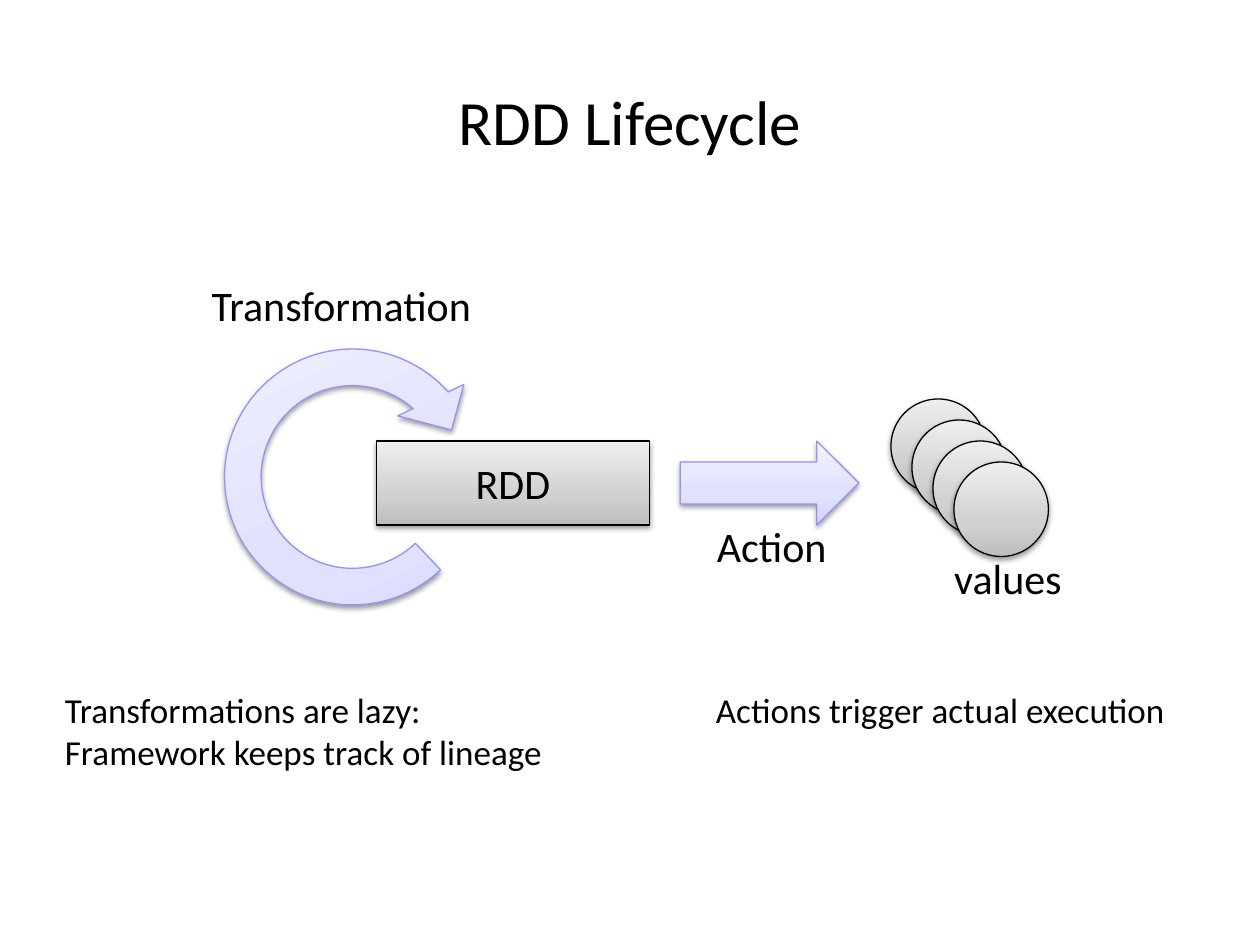
from copy import deepcopy
from dataclasses import dataclass

from lxml import etree
from pptx import Presentation
from pptx.dml.color import RGBColor
from pptx.enum.shapes import MSO_SHAPE
from pptx.enum.text import MSO_ANCHOR, PP_ALIGN
from pptx.oxml.ns import qn
from pptx.util import Inches, Pt

RECTANGLE = MSO_SHAPE.RECTANGLE
LOOP_ARROW = MSO_SHAPE.CIRCULAR_ARROW
RIGHT_ARROW = MSO_SHAPE.RIGHT_ARROW
CIRCLE = MSO_SHAPE.OVAL
LEFT, CENTER = PP_ALIGN.LEFT, PP_ALIGN.CENTER
TOP, MIDDLE = MSO_ANCHOR.TOP, MSO_ANCHOR.MIDDLE

COLUMNS, ROWS = 120, 90


@dataclass(frozen=True)
class Theme:
    font: str = "Calibri"
    ink: str = "000000"
    title: int = 36
    label: int = 24
    note: int = 20
    outline: float = 0.75
    stops: tuple = (0, 0.35, 1)
    data: tuple = ("000000", "BDBDBD", "D1D1D1", "EEEEEE")
    operation: tuple = ("9393FC", "D4D4FF", "E0E0FF", "F3F3FF")


class Diagram:
    def __init__(self, deck, theme):
        self.theme = theme
        self.cell_width = deck.slide_width / COLUMNS
        self.cell_height = deck.slide_height / ROWS
        self.slide = deck.slides.add_slide(deck.slide_layouts[6])
        self.canvas = self.slide.shapes

    def place(self, column, row, width, height):
        return (round(column * self.cell_width), round(row * self.cell_height),
                round(width * self.cell_width), round(height * self.cell_height))

    def start_group(self):
        self.canvas = self.slide.shapes.add_group_shape().shapes

    def set_lines(self, frame, lines, size, align, anchor):
        for name, value in {"word_wrap": True, "vertical_anchor": anchor}.items():
            setattr(frame, name, value)
        style = {"name": self.theme.font, "size": Pt(size)}
        for index, line in enumerate(lines):
            paragraph = frame.paragraphs[0] if index == 0 else frame.add_paragraph()
            paragraph.alignment = align
            run = paragraph.add_run()
            run.text = line
            for name, value in style.items():
                setattr(run.font, name, value)
            run.font.color.rgb = RGBColor.from_string(self.theme.ink)

    def text(self, area, *lines, size, align=CENTER, anchor=TOP):
        box = self.canvas.add_textbox(*self.place(*area))
        self.set_lines(box.text_frame, lines, size, align, anchor)

    def shape(self, kind, area, palette, label=None, rotation=0, adjustments=()):
        figure = self.canvas.add_shape(kind, *self.place(*area))
        figure.rotation = rotation
        for index, value in enumerate(adjustments):
            figure.adjustments[index] = value
        outline, *shades = palette
        figure.line.color.rgb = RGBColor.from_string(outline)
        figure.line.width = Pt(self.theme.outline)
        self.shade(figure, shades)
        self.cast_shadow(figure)
        if label:
            self.set_lines(figure.text_frame, [label], self.theme.label, CENTER, MIDDLE)

    def shade(self, figure, shades):
        figure.fill.gradient()
        figure.fill.gradient_angle = 90
        stop_list = figure._element.spPr.find(qn("a:gradFill")).find(qn("a:gsLst"))
        stop_list.append(deepcopy(stop_list[0]))
        for stop, position, shade in zip(figure.fill.gradient_stops, self.theme.stops, shades):
            stop.position = position
            stop.color.rgb = RGBColor.from_string(shade)

    def cast_shadow(self, figure):
        figure.shadow.inherit = False
        effects = figure._element.spPr.find(qn("a:effectLst"))
        shadow = etree.SubElement(effects, qn("a:outerShdw"), blurRad="40000",
                                  dist="20000", dir="5400000", rotWithShape="0")
        color = etree.SubElement(shadow, qn("a:srgbClr"), val=self.theme.ink)
        etree.SubElement(color, qn("a:alpha"), val="38000")


def main():
    deck = Presentation()
    deck.slide_width, deck.slide_height = Inches(10), Inches(7.5)
    theme = Theme()
    diagram = Diagram(deck, theme)

    diagram.text((0, 7, COLUMNS, 9), "RDD Lifecycle", size=theme.title, anchor=MIDDLE)
    diagram.shape(RECTANGLE, (35.85, 42, 26, 8), theme.data, label="RDD")
    diagram.shape(LOOP_ARROW, (19.65, 31.5, 27.85, 27.85), theme.operation, rotation=334.6,
                  adjustments=(0.125, 11.42, 204.58, 43.17, 0.125))
    diagram.shape(RIGHT_ARROW, (64.8, 42, 17, 8), theme.operation)
    diagram.text((16, 26, 33, 6), "Transformation", size=theme.label)
    diagram.text((57, 49, 33, 6), "Action", size=theme.label)
    diagram.text((5, 65, 50, 9.25), "Transformations are lazy:",
                 "Framework keeps track of lineage", size=theme.note, align=LEFT)
    diagram.text((67, 65, 50, 5.25), "Actions trigger actual execution",
                 size=theme.note, align=LEFT)

    diagram.start_group()
    for step in range(4):
        diagram.shape(CIRCLE, (84.85 + 2 * step, 38 + 2 * step, 9, 9), theme.data)
    diagram.text((87, 52, 18, 6), "values", size=theme.label)

    deck.save("out.pptx")


if __name__ == "__main__":
    main()
